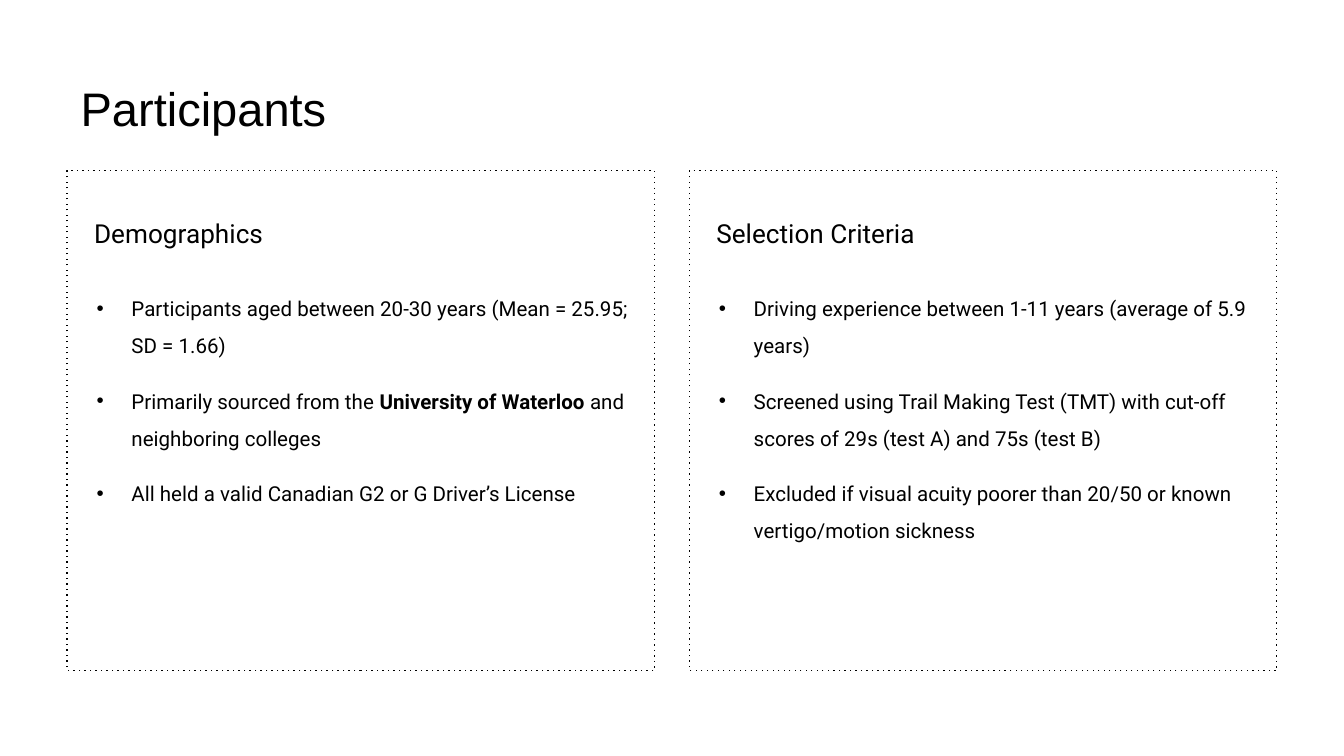
from lxml import etree
from pptx import Presentation
from pptx.dml.color import RGBColor
from pptx.enum.dml import MSO_LINE
from pptx.enum.shapes import MSO_SHAPE
from pptx.enum.text import MSO_ANCHOR, MSO_AUTO_SIZE, PP_ALIGN
from pptx.oxml.ns import qn
from pptx.util import Inches, Pt

RECTANGLE = MSO_SHAPE.RECTANGLE
DOTTED = MSO_LINE.ROUND_DOT
TOP, MIDDLE, BOTTOM = MSO_ANCHOR.TOP, MSO_ANCHOR.MIDDLE, MSO_ANCHOR.BOTTOM
LEFT = PP_ALIGN.LEFT
NO_FIT = MSO_AUTO_SIZE.NONE
TITLE_ONLY = 5

COLORS = {"ink": "000000", "paper": "FFFFFF"}
MARGIN = 0.5
PANEL_TOP, PANEL_WIDTH, PANEL_HEIGHT = 1.27, 4.37, 3.72
PANEL_STEP = 4.63
HEADING_HEIGHT = 0.68
LIST_TOP, LIST_HEIGHT = 2.01, 2.99

PANELS = [
    ("Demographics", [
        [("Participants aged between 20-30 years (Mean = 25.95; SD = 1.66)", False)],
        [("Primarily sourced from the ", False),
         ("University of Waterloo", True),
         (" and neighboring colleges", False)],
        [("All held a valid Canadian G2 or G Driver’s License", False)],
    ]),
    ("Selection Criteria", [
        [("Driving experience between 1-11 years (average of 5.9 years)", False)],
        [("Screened using Trail Making Test (TMT) with cut-off scores of 29s "
          "(test A) and 75s (test B)", False)],
        [("Excluded if visual acuity poorer than 20/50 or known "
          "vertigo/motion sickness", False)],
    ]),
]


def color(name):
    return RGBColor.from_string(COLORS[name])


def set_all(target, values):
    for name, value in values.items():
        setattr(target, name, value)


def format_frame(frame, anchor, left=0.1, right=0.1):
    set_all(frame, {
        "word_wrap": True,
        "auto_size": NO_FIT,
        "vertical_anchor": anchor,
        "margin_left": Inches(left),
        "margin_right": Inches(right),
        "margin_top": Inches(0.1),
        "margin_bottom": Inches(0.1),
    })


def add_span(para, text, size, font="Roboto", bold=False):
    span = para.add_run()
    span.text = text
    set_all(span.font, {"name": font, "size": Pt(size), "bold": bold})
    span.font.color.rgb = color("ink")


def add_bullet(para):
    properties = para._p.get_or_add_pPr()
    properties.set("marL", str(Inches(0.38)))
    properties.set("indent", str(Inches(-0.26)))
    bullet_color = etree.SubElement(properties, qn("a:buClr"))
    etree.SubElement(bullet_color, qn("a:srgbClr"), val=COLORS["ink"])
    etree.SubElement(properties, qn("a:buFont"), typeface="Arial")
    etree.SubElement(properties, qn("a:buChar"), char="•")


def add_title(page, text):
    title = page.shapes.title
    set_all(title, {
        "left": Inches(MARGIN),
        "top": Inches(0.49),
        "width": Inches(9),
        "height": Inches(0.63),
    })
    format_frame(title.text_frame, MIDDLE)
    para = title.text_frame.paragraphs[0]
    para.alignment = LEFT
    add_span(para, text, 25.2, "Arial")


def add_frame(page, left):
    panel = page.shapes.add_shape(
        RECTANGLE, Inches(left), Inches(PANEL_TOP),
        Inches(PANEL_WIDTH), Inches(PANEL_HEIGHT))
    panel.shadow.inherit = False
    panel.fill.background()
    panel.line.color.rgb = color("ink")
    set_all(panel.line, {"width": Pt(0.75), "dash_style": DOTTED})
    dash = panel._element.spPr.find(".//" + qn("a:prstDash"))
    dash.set("val", "dot")


def add_heading(page, left, text):
    box = page.shapes.add_textbox(
        Inches(left), Inches(PANEL_TOP),
        Inches(PANEL_WIDTH), Inches(HEADING_HEIGHT))
    format_frame(box.text_frame, BOTTOM, 0.2, 0.15)
    para = box.text_frame.paragraphs[0]
    set_all(para, {"alignment": LEFT, "space_after": Pt(12)})
    add_span(para, text, 14)


def add_list(page, left, items):
    box = page.shapes.add_textbox(
        Inches(left), Inches(LIST_TOP),
        Inches(PANEL_WIDTH), Inches(LIST_HEIGHT))
    frame = box.text_frame
    format_frame(frame, TOP)
    for index, spans in enumerate(items):
        para = frame.add_paragraph() if index else frame.paragraphs[0]
        set_all(para, {
            "alignment": LEFT,
            "line_spacing": 1.5,
            "space_before": Pt(10 if index else 0),
            "space_after": Pt(10 if index == len(items) - 1 else 0),
        })
        add_bullet(para)
        for text, bold in spans:
            add_span(para, text, 11, bold=bold)


def main():
    deck = Presentation()
    width = Inches(10)
    set_all(deck, {"slide_width": width, "slide_height": width * 9 // 16})
    page = deck.slides.add_slide(deck.slide_layouts[TITLE_ONLY])
    page.background.fill.solid()
    page.background.fill.fore_color.rgb = color("paper")
    add_title(page, "Participants")
    for index, (heading, items) in enumerate(PANELS):
        left = MARGIN + index * PANEL_STEP
        add_frame(page, left)
        add_list(page, left, items)
        add_heading(page, left, heading)
    deck.save("out.pptx")


if __name__ == "__main__":
    main()
